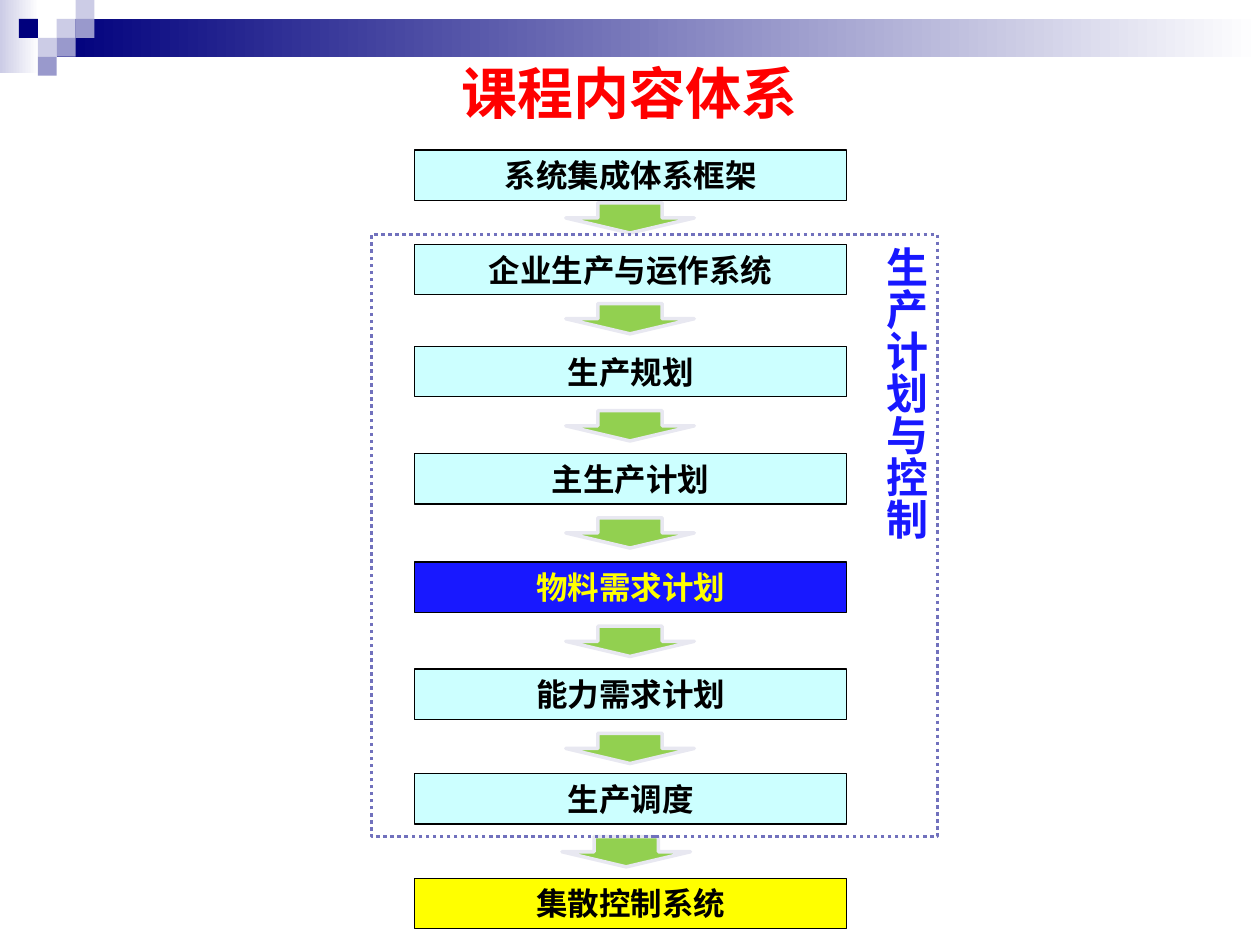
from pptx import Presentation
from pptx import util as u
from pptx.dml.color import RGBColor
from pptx.enum import dml, shapes, text

COLUMNS, ROWS = 100, 75
SLIDE_WIDTH, SLIDE_HEIGHT = u.Inches(10), u.Inches(7.5)
NAVY, LILAC, VIOLET, WHITE = "00007D", "CCCCE6", "9999CC", "FFFFFF"
AQUA, BLUE, YELLOW, BLACK = "CCFFFF", "1818FF", "FFFF00", "000000"

STEPS = [
    ("系统集成体系框架", 11.9, {"font": "Noto Sans CJK SC"}),
    ("企业生产与运作系统", 19.4, {}),
    ("生产规划", 27.5, {}),
    ("主生产计划", 36, {}),
    ("物料需求计划", 44.6, {"fill": BLUE, "color": YELLOW}),
    ("能力需求计划", 53.1, {}),
    ("生产调度", 61.4, {}),
    ("集散控制系统", 69.7, {"fill": YELLOW}),
]
ARROWS = [(44.9, row) for row in (16.1, 24.1, 32.6, 41.1, 49.7, 58.2)] + [(44.6, 66.4)]
TILES = [(3, 1, LILAC), (4, 0, LILAC), (4, 1, VIOLET), (2, 2, LILAC),
         (1, 1, NAVY), (3, 2, VIOLET), (2, 3, VIOLET)]


def rgb(value):
    """Turn a hex string into a colour."""
    return RGBColor.from_string(value)


def grid(box):
    """Turn columns and rows (left, top, width, height) into slide lengths."""
    left, top, width, height = box
    return (int(SLIDE_WIDTH * left / COLUMNS), int(SLIDE_HEIGHT * top / ROWS),
            int(SLIDE_WIDTH * width / COLUMNS), int(SLIDE_HEIGHT * height / ROWS))


def add_block(slide, box, fill=None, line=None, kind=shapes.MSO_SHAPE.RECTANGLE):
    """Add a preset shape; fill is a colour, a pair of gradient ends or None."""
    block = slide.shapes.add_shape(kind, *grid(box))
    block.shadow.inherit = False
    if fill is None:
        block.fill.background()
    elif isinstance(fill, tuple):
        block.fill.gradient()
        block.fill.gradient_angle = 0
        for stop, color in zip(block.fill.gradient_stops, fill):
            stop.color.rgb = rgb(color)
    else:
        block.fill.solid()
        block.fill.fore_color.rgb = rgb(fill)
    if line is None:
        block.line.fill.background()
    else:
        color, width = line
        block.line.color.rgb = rgb(color)
        block.line.width = u.Pt(width)
    return block


def write(block, wording, size, color, font="Calibri",
          align=text.PP_ALIGN.CENTER, anchor=text.MSO_ANCHOR.MIDDLE):
    """Write one bold paragraph into a shape."""
    frame = block.text_frame
    frame.word_wrap = True
    frame.vertical_anchor = anchor
    paragraph = frame.paragraphs[0]
    paragraph.alignment = align
    run = paragraph.add_run()
    run.text = wording
    for name, value in {"name": font, "size": u.Pt(size), "bold": True}.items():
        setattr(run.font, name, value)
    run.font.color.rgb = rgb(color)


def add_banner(slide, box):
    """Draw the gradient bands and the mosaic of square tiles."""
    left, top, width, height = box
    tile = height / 4
    add_block(slide, (left, top, 3.1, 5.8), (LILAC, WHITE))
    add_block(slide, (left + 3 * tile, top + tile, width - 3 * tile, 2 * tile), (NAVY, WHITE))
    for column, row, color in TILES:
        add_block(slide, (left + column * tile, top + row * tile, tile, tile), color)


def add_title(slide, box):
    """Write the slide title."""
    title = slide.shapes.add_textbox(*grid(box))
    write(title, "课程内容体系", 32, "FF0000", "Arial")


def add_step(slide, box, wording, fill=AQUA, color=BLACK, font="Calibri"):
    """Draw one labelled step of the course."""
    step = add_block(slide, box, fill, (BLACK, 0.75))
    write(step, wording, 18, color, font)


def add_flow(slide, box):
    """Stack the steps and the arrows between them."""
    left, top, width, height = box
    for wording, row, style in STEPS:
        add_step(slide, (left, row, width, 4), wording, **style)
    for column, row in ARROWS:
        add_block(slide, (column, row, 10.2, 2.4), "92D050", ("E8E8F1", 2),
                  shapes.MSO_SHAPE.DOWN_ARROW)


def add_scope(slide, box):
    """Outline the planning and control steps with a vertical label."""
    scope = add_block(slide, box, line=("7171BD", 2))
    scope.line.dash_style = dml.MSO_LINE.ROUND_DOT
    write(scope, "生产计划与控制", 24, BLUE, "Arial",
          text.PP_ALIGN.LEFT, text.MSO_ANCHOR.TOP)
    scope.text_frame._txBody.bodyPr.set("vert", "eaVert")


def main():
    """Build and save the course overview slide."""
    deck = Presentation()
    deck.slide_width, deck.slide_height = SLIDE_WIDTH, SLIDE_HEIGHT
    slide = deck.slides.add_slide(deck.slide_layouts[6])
    add_banner(slide, (0, 0, COLUMNS, 6))
    add_title(slide, (5, 5, 90, 4.6))
    add_flow(slide, (32.9, 11.9, 34.3, 61.8))
    add_scope(slide, (29.5, 18.6, 44.9, 47.8))
    deck.save("out.pptx")


if __name__ == "__main__":
    main()
